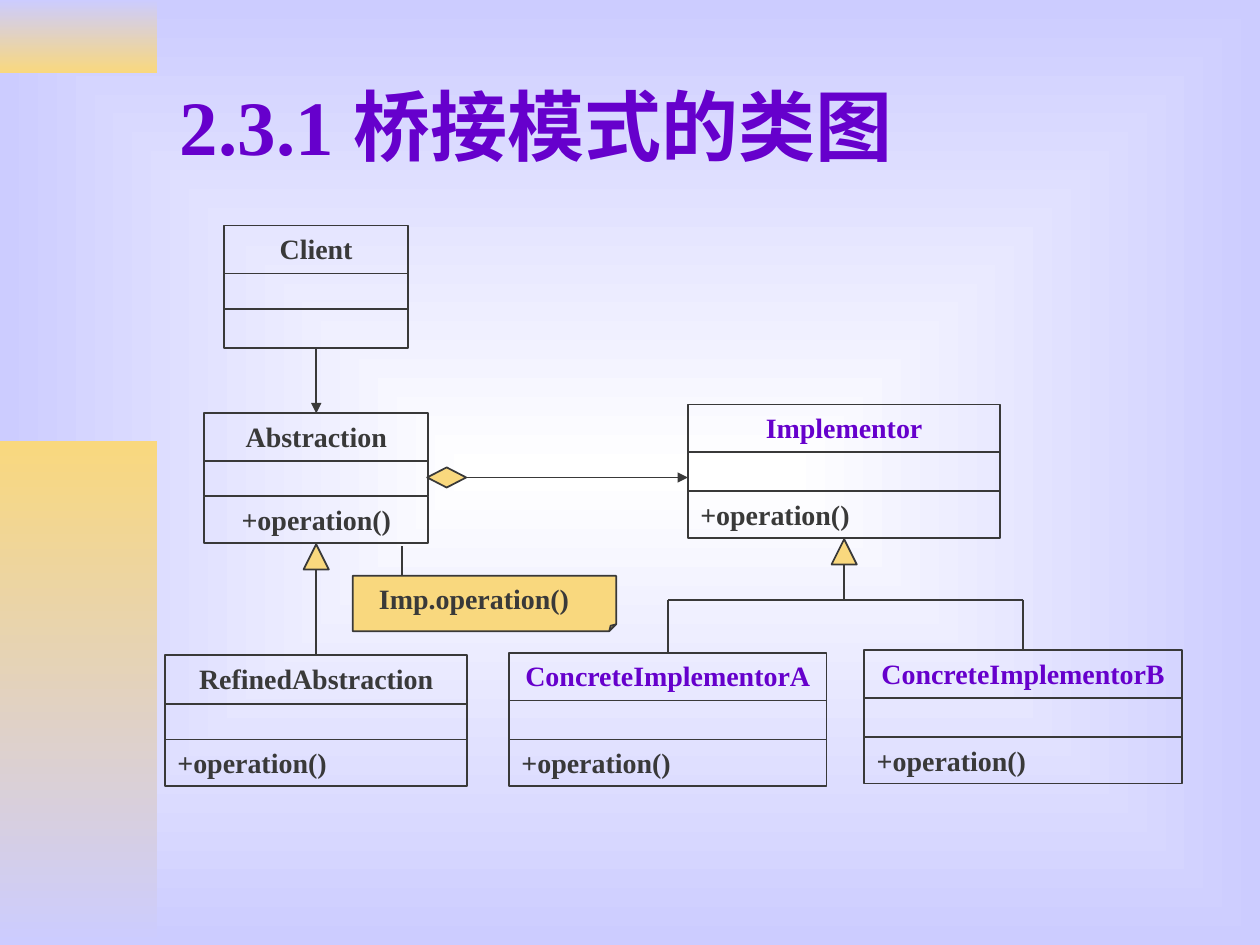
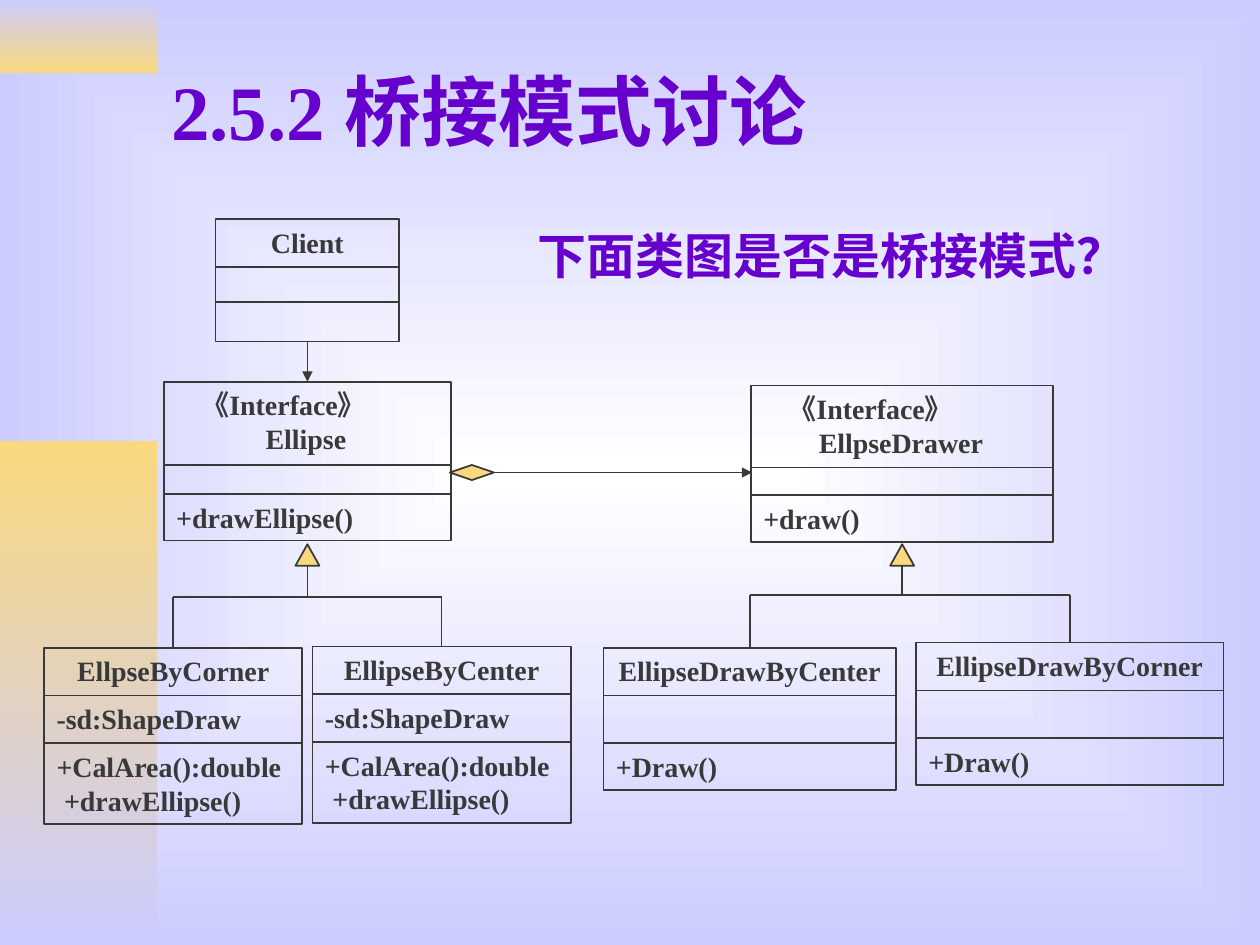
import pptx
import pptx.util
import pptx.dml.color
import pptx.enum.shapes
import pptx.enum.text
import pptx.oxml.ns
from lxml import etree

FONT = "Times New Roman"
INK, PURPLE, GOLD, LAVENDER, WHITE = "393939", "6600CC", "F9D87E", "CCCCFF", "FFFFFF"
SHAPE = pptx.enum.shapes.MSO_SHAPE
ALIGN = pptx.enum.text.PP_ALIGN
qn = pptx.oxml.ns.qn
colour = pptx.dml.color.RGBColor.from_string

presentation = pptx.Presentation()
presentation.slide_width = pptx.util.Inches(10)
presentation.slide_height = pptx.util.Inches(7.5)
CELL = presentation.slide_width / 100  # grid of 100 columns by 75 rows


def add_item(slide, kind, box, text="", size=16, ink=INK, align=ALIGN.LEFT,
             fill=None, indents=()):
    """Add a preset shape, or a text box when kind is None, placed in grid cells."""
    place = [round(value * CELL) for value in box]
    if kind is None:
        shape = slide.shapes.add_textbox(*place)
    else:
        shape = slide.shapes.add_shape(kind, *place)
        shape.shadow.inherit = False
        shape.line.color.rgb = colour(INK)
        shape.line.width = pptx.util.Pt(1)
        if fill:
            shape.fill.solid()
            shape.fill.fore_color.rgb = colour(fill)
        else:
            shape.fill.background()
    if text:
        frame = shape.text_frame
        frame.text = text
        frame.word_wrap = True
        frame.vertical_anchor = pptx.enum.text.MSO_ANCHOR.TOP
        for paragraph in frame.paragraphs:
            paragraph.alignment = align
            for run in paragraph.runs:
                run.font.name = FONT
                run.font.size = pptx.util.Pt(size)
                run.font.bold = True
                run.font.color.rgb = colour(ink)
        for paragraph, indent in zip(frame.paragraphs, indents):
            paragraph._p.get_or_add_pPr().set("marL", str(round(indent * CELL)))
    return shape


def add_line(slide, start, end, arrow=False):
    """Add a straight line between two grid points."""
    line = slide.shapes.add_connector(
        pptx.enum.shapes.MSO_CONNECTOR.STRAIGHT,
        *[round(value * CELL) for value in (*start, *end)])
    line.line.color.rgb = colour(INK)
    line.line.width = pptx.util.Pt(1)
    if arrow:
        outline = line.element.spPr.find(qn("a:ln"))
        etree.SubElement(outline, qn("a:tailEnd"), type="triangle")
    etree.SubElement(line.element.spPr, qn("a:effectLst"))
    return line


# Shared background: white centre fading to lavender
master = presentation.slide_master
background = master.background.fill
background.gradient()
for stop, shade in zip(background.gradient_stops, (WHITE, LAVENDER)):
    stop.color.rgb = colour(shade)
gradient = next(master.element.iter(qn("a:gradFill")))
gradient.remove(gradient.find(qn("a:lin")))
spread = etree.SubElement(gradient, qn("a:path"), path="rect")
etree.SubElement(spread, qn("a:fillToRect"), l="50000", t="50000", r="50000", b="50000")

BANDS = [((0, 0, 12.5, 5.8), (LAVENDER, GOLD)),
         ((0, 35, 12.5, 40), (GOLD, LAVENDER))]

# Class: name, attribute, operation, (left, top, width), row heights, options
# Tree: parent, top of triangle, (triangle width, height), height of bus, children
CLIENT_ROWS = (3.8, 2.8, 3.1)
IMPLEMENTOR_ROWS = (3.8, 3.1, 3.7)
CORNER_ROWS = (3.8, 3.8, 6.4)
DRAW_ROWS = (3.8, 3.8, 3.7)
AREA = "+CalArea():double\n+drawEllipse()"
DIAGRAMS = [
    {
        "title": "2.3.1 桥接模式的类图", "title_box": (13.3, 3.3, 85, 13.2),
        "classes": [
            ("Client", "", "", (17.8, 17.9, 14.6), CLIENT_ROWS, {}),
            ("Abstraction", "", "+operation()", (16.2, 32.8, 17.8), (3.8, 2.8, 3.7),
             {"operation_align": ALIGN.CENTER}),
            ("Implementor", "", "+operation()", (54.6, 32.1, 24.8), IMPLEMENTOR_ROWS,
             {"ink": PURPLE}),
            ("RefinedAbstraction", "", "+operation()", (13.1, 52, 24), (3.9, 2.8, 3.7), {}),
            ("ConcreteImplementorA", "", "+operation()", (40.4, 51.8, 25.2),
             IMPLEMENTOR_ROWS, {"ink": PURPLE}),
            ("ConcreteImplementorB", "", "+operation()", (68.6, 51.6, 25.2),
             IMPLEMENTOR_ROWS, {"ink": PURPLE}),
        ],
        "trees": [("Abstraction", 43.2, (2, 2), 45.2, ["RefinedAbstraction"]),
                  ("Implementor", 42.8, (2, 2), 47.6,
                   ["ConcreteImplementorA", "ConcreteImplementorB"])],
        "diamond": (33.9, 37.1, 3.1, 1.6), "arrow_end": 54.6,
    },
    {
        "title": "2.5.2 桥接模式讨论", "title_box": (12.6, 2.1, 85, 13.2),
        "classes": [
            ("Client", "", "", (17.1, 17.4, 14.6), CLIENT_ROWS, {}),
            ("《Interface》\nEllipse", "", "+drawEllipse()", (13, 30.3, 22.8),
             (6.6, 2.3, 3.7), {"name_indents": (2, 7.1)}),
            ("《Interface》\nEllpseDrawer", "", "+draw()", (59.6, 30.6, 24),
             (6.5, 2.2, 3.7), {"name_indents": (2, 4.4)}),
            ("EllpseByCorner", "-sd:ShapeDraw", AREA, (3.5, 51.4, 20.5), CORNER_ROWS,
             {"operation_indents": (0, 0.6)}),
            ("EllipseByCenter", "-sd:ShapeDraw", AREA, (24.8, 51.3, 20.5), CORNER_ROWS,
             {"operation_indents": (0, 0.6)}),
            ("EllipseDrawByCenter", "", "+Draw()", (47.9, 51.4, 23.2), DRAW_ROWS, {}),
            ("EllipseDrawByCorner", "", "+Draw()", (72.7, 51, 24.4), DRAW_ROWS, {}),
        ],
        "trees": [("《Interface》\nEllipse", 43.2, (1.9, 1.7), 47.4,
                   ["EllpseByCorner", "EllipseByCenter"]),
                  ("《Interface》\nEllpseDrawer", 43.2, (1.9, 1.7), 47.2,
                   ["EllipseDrawByCenter", "EllipseDrawByCorner"])],
        "diamond": (35.7, 36.9, 3.5, 1.2), "arrow_end": 59.7,
    },
]

slides = []
for diagram in DIAGRAMS:
    slide = presentation.slides.add_slide(presentation.slide_layouts[6])
    slides.append(slide)

    # Side bands and title
    for box, shades in BANDS:
        band = add_item(slide, SHAPE.RECTANGLE, box)
        band.line.fill.background()
        band.fill.gradient()
        band.fill.gradient_angle = 270
        for stop, shade in zip(band.fill.gradient_stops, shades):
            stop.color.rgb = colour(shade)
    title = add_item(slide, None, diagram["title_box"], diagram["title"], 44, PURPLE)
    title.text_frame.vertical_anchor = pptx.enum.text.MSO_ANCHOR.MIDDLE

    # Classes: name, attribute and operation rows
    names, last_rows, centres, tops = {}, {}, {}, {}
    for name, attribute, operation, (left, top, width), heights, options in diagram["classes"]:
        name_indents = options.get("name_indents", ())
        rows = [
            (name, options.get("ink", INK),
             ALIGN.LEFT if name_indents else ALIGN.CENTER, name_indents),
            (attribute, INK, ALIGN.LEFT, ()),
            (operation, INK, options.get("operation_align", ALIGN.LEFT),
             options.get("operation_indents", ())),
        ]
        centres[name], tops[name] = left + width / 2, top
        for (text, ink, align, indents), height in zip(rows, heights):
            cell = add_item(slide, SHAPE.RECTANGLE, (left, top, width, height), text,
                            ink=ink, align=align, indents=indents)
            names.setdefault(name, cell)
            top += height
        last_rows[name] = cell

    # Client uses the abstraction
    abstraction = diagram["classes"][1][0]
    use = add_line(slide, (0, 0), (1, 1), arrow=True)
    use.begin_connect(last_rows["Client"], 2)
    use.end_connect(names[abstraction], 0)

    # Aggregation of the implementor
    left, top, width, height = diagram["diamond"]
    add_item(slide, SHAPE.DIAMOND, diagram["diamond"], fill=GOLD)
    middle = top + height / 2
    add_line(slide, (left + width, middle), (diagram["arrow_end"], middle), arrow=True)

    # Inheritance trees
    for parent, top, (width, height), bus, children in diagram["trees"]:
        centre = centres[parent]
        add_item(slide, SHAPE.ISOSCELES_TRIANGLE,
                 (centre - width / 2, top, width, height), fill=GOLD)
        if len(children) > 1:
            add_line(slide, (centre, top + height), (centre, bus))
            add_line(slide, (centres[children[0]], bus), (centres[children[-1]], bus))
        for child in children:
            drop = add_line(slide, (centres[child], bus), (centres[child], tops[child]))
            drop.end_connect(names[child], 0)

# Note on the abstraction's operation
class_slide, discussion_slide = slides
note = add_item(class_slide, SHAPE.FOLDED_CORNER, (28, 45.7, 20.9, 4.4), fill=GOLD)
guides = next(note.element.iter(qn("a:avLst")))
etree.SubElement(guides, qn("a:gd"), name="adj", fmla="val 12500")
add_item(class_slide, None, (29.1, 45.7, 18.6, 3.7), "Imp.operation()")
add_line(class_slide, (31.9, 45.6), (31.9, 43.3))

# Question for discussion
add_item(discussion_slide, None, (41.7, 17.4, 51.2, 5.7), "下面类图是否是桥接模式？", 28, PURPLE)

presentation.save("out.pptx")
